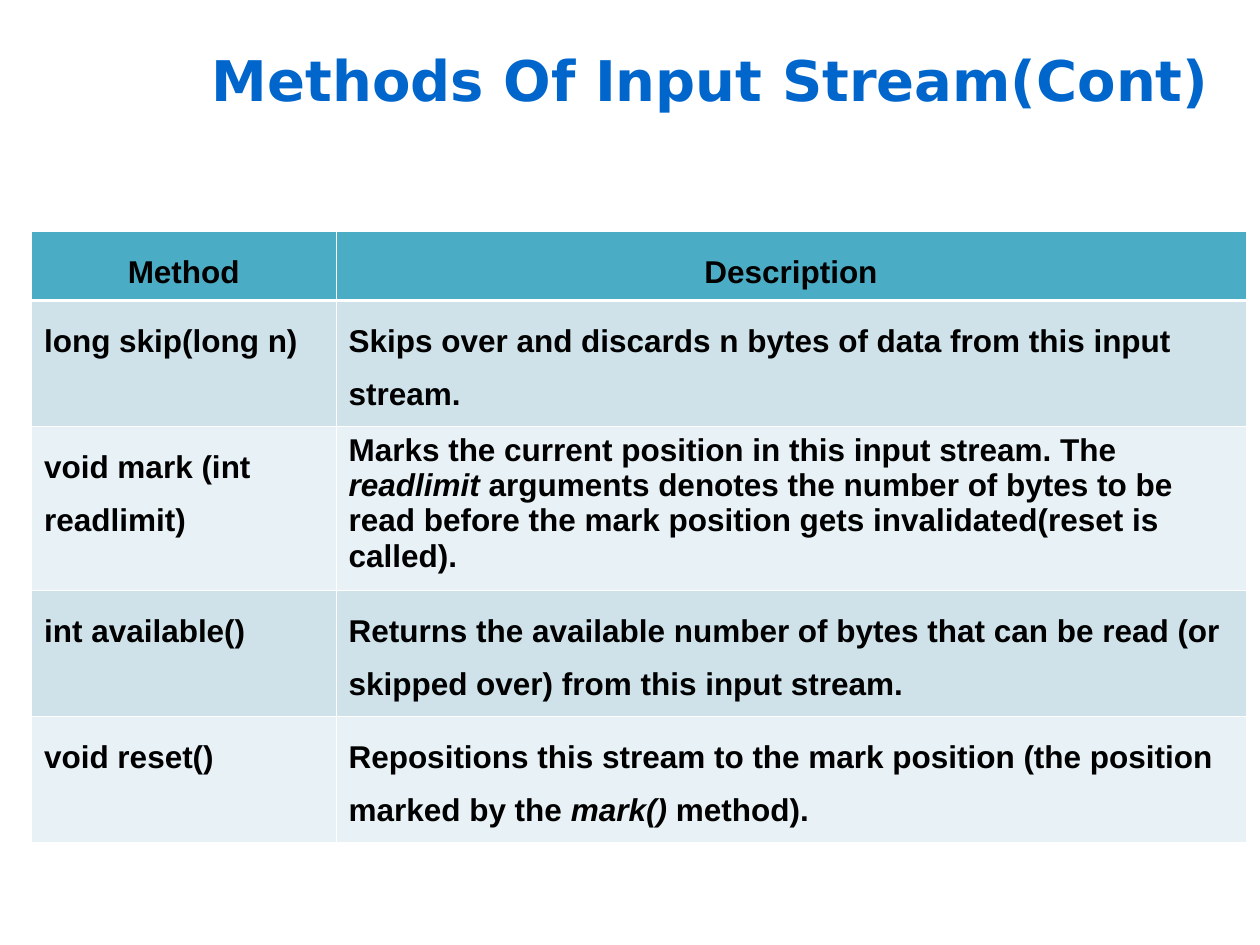
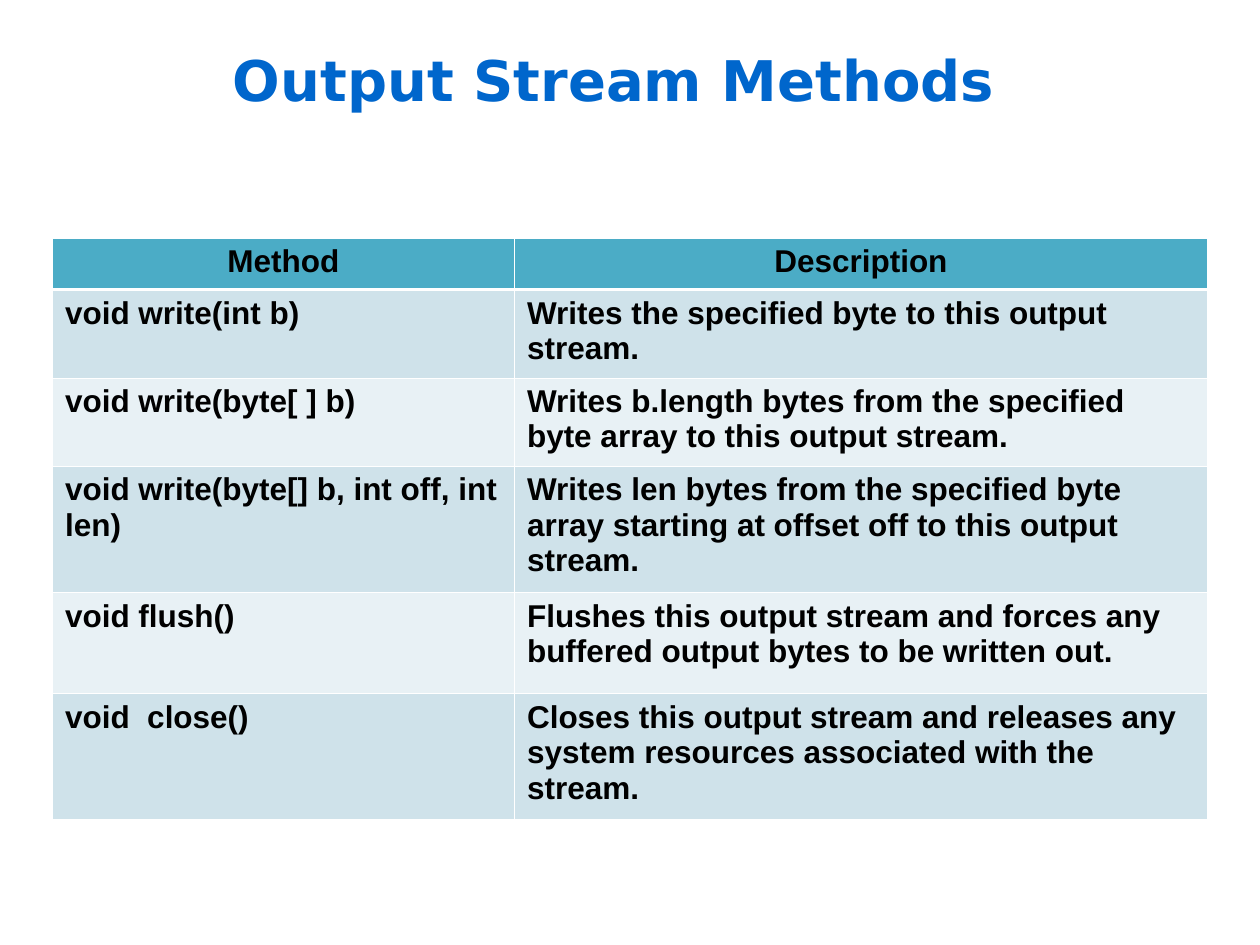
from dataclasses import dataclass

from lxml import etree
from pptx import Presentation
from pptx import util as u
from pptx.dml.color import RGBColor
from pptx.enum import text
from pptx.oxml import ns


@dataclass(frozen=True)
class Theme:
    """Colours, fonts and sizes shared by the slides."""
    title_color: str = "0066CC"
    title_font: str = "DejaVu Sans"
    title_size: int = 32
    cell_color: str = "000000"
    cell_font: str = "Arial"
    cell_size: int = 18
    header_fill: str = "4BACC6"
    band_fills: tuple = ("CFE2EA", "E8F1F5")
    rule_color: str = "FFFFFF"
    thin_rule: float = 0.45
    thick_rule: float = 1.47


THEME = Theme()
HEADINGS = ("Method", "Description")

INPUT_METHODS = [
    ("long skip(long n)", "Skips over and discards n bytes of data from this input stream."),
    ("void mark (int readlimit)",
     ["Marks the current position in this input stream. The ", "readlimit",
      " arguments denotes the number of bytes to be read before the mark position "
      "gets invalidated(reset is called)."]),
    ("int available()",
     "Returns the available number of bytes that can be read (or skipped over) "
     "from this input stream."),
    ("void reset()",
     ["Repositions this stream to the mark position (the position marked by the ",
      "mark()", " method)."]),
]

OUTPUT_METHODS = [
    ("void write(int b)", "Writes the specified byte to this output stream."),
    ("void write(byte[ ] b)",
     "Writes b.length bytes from the specified byte array to this output stream."),
    ("void write(byte[] b, int off, int len)",
     "Writes len bytes from the specified byte array starting at offset off "
     "to this output stream."),
    ("void flush()",
     "Flushes this output stream and forces any buffered output bytes to be written out."),
    ("void  close()",
     "Closes this output stream and releases any system resources associated with the stream."),
]


def add_run(paragraph, words, font, size, color, italic=False):
    """Append one bold run to a paragraph."""
    run = paragraph.add_run()
    run.text = words
    run.font.name = font
    run.font.size = u.Pt(size)
    run.font.bold = True
    run.font.italic = italic
    run.font.color.rgb = RGBColor.from_string(color)


def add_title(slide, words, left):
    """Place the slide title at the given left edge."""
    title = slide.shapes.add_textbox(u.Pt(left), u.Pt(0), u.Pt(594), u.Pt(90)).text_frame
    title.word_wrap = True
    title.vertical_anchor = text.MSO_ANCHOR.MIDDLE
    add_run(title.paragraphs[0], words, THEME.title_font, THEME.title_size, THEME.title_color)


def rule_cell(cell, top, bottom):
    """Draw the four borders of a cell."""
    properties = cell._tc.get_or_add_tcPr()
    widths = {"lnL": THEME.thin_rule, "lnR": THEME.thin_rule, "lnT": top, "lnB": bottom}
    for position, (side, width) in enumerate(widths.items()):
        rule = etree.Element(ns.qn(f"a:{side}"), w=str(int(u.Pt(width))))
        paint = etree.SubElement(rule, ns.qn("a:solidFill"))
        etree.SubElement(paint, ns.qn("a:srgbClr"), val=THEME.rule_color)
        properties.insert(position, rule)


def fill_cell(cell, content, row, spacing):
    """Write and style a cell, with every second part of a list in italics."""
    is_header = row == 0
    fill = THEME.header_fill if is_header else THEME.band_fills[(row - 1) % 2]
    cell.fill.solid()
    cell.fill.fore_color.rgb = RGBColor.from_string(fill)
    rule_cell(cell,
              top=THEME.thick_rule if row == 1 else THEME.thin_rule,
              bottom=THEME.thick_rule if is_header else THEME.thin_rule)
    paragraph = cell.text_frame.paragraphs[0]
    paragraph.alignment = text.PP_ALIGN.CENTER if is_header else text.PP_ALIGN.LEFT
    paragraph.line_spacing = spacing
    parts = [content] if isinstance(content, str) else content
    for index, words in enumerate(parts):
        add_run(paragraph, words, THEME.cell_font, THEME.cell_size, THEME.cell_color,
                italic=index % 2 == 1)


def add_method_table(slide, methods, left, top, widths, heights, spacing=1.0, tight_cells=()):
    """Add a method table, single spaced in its tight cells."""
    entries = [HEADINGS, *methods]
    table = slide.shapes.add_table(
        len(entries), len(HEADINGS), u.Pt(left), u.Pt(top),
        u.Pt(sum(widths)), u.Pt(sum(heights))).table
    for column, width in zip(table.columns, widths):
        column.width = u.Pt(width)
    for line, height in zip(table.rows, heights):
        line.height = u.Pt(height)
    for row, entry in enumerate(entries):
        for column, content in enumerate(entry):
            cell_spacing = 1.0 if (row, column) in tight_cells else spacing
            fill_cell(table.cell(row, column), content, row, cell_spacing)


def main():
    """Build and save both slides."""
    deck = Presentation()
    deck.slide_width, deck.slide_height = u.Pt(720), u.Pt(540)
    blank = deck.slide_layouts[6]

    input_slide = deck.slides.add_slide(blank)
    add_title(input_slide, "Methods Of Input Stream(Cont)", left=114)
    add_method_table(input_slide, INPUT_METHODS, left=18, top=132, widths=(174, 520),
                     heights=(39.6, 72, 93.6, 72, 72), spacing=1.5, tight_cells={(2, 1)})

    output_slide = deck.slides.add_slide(blank)
    add_title(output_slide, "Output Stream Methods", left=126)
    add_method_table(output_slide, OUTPUT_METHODS, left=30, top=136, widths=(264, 396),
                     heights=(29.5, 50.4, 50.4, 72, 58, 72))

    deck.save("out.pptx")


if __name__ == "__main__":
    main()
